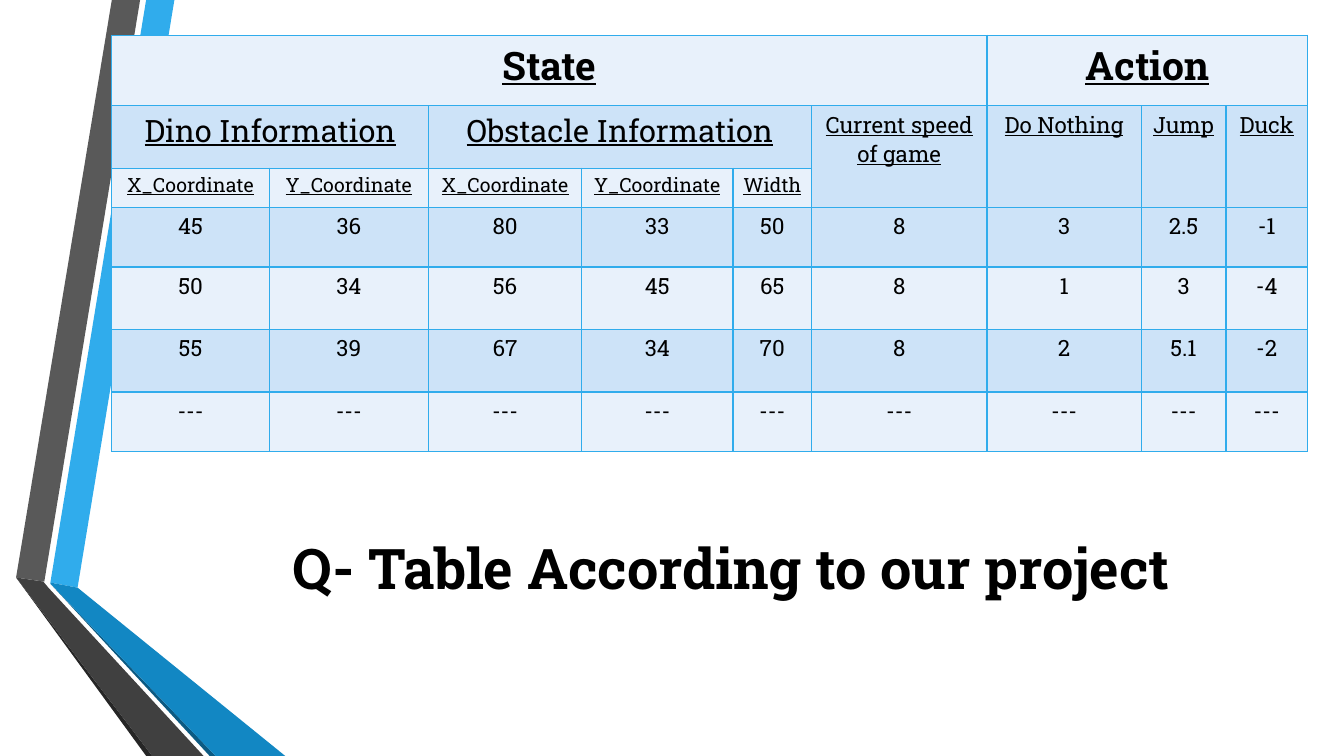
from lxml import etree
from pptx import Presentation
from pptx.dml.color import RGBColor
from pptx.enum.text import MSO_ANCHOR, PP_ALIGN
from pptx.oxml.ns import qn
from pptx.util import Inches, Pt

CENTER = PP_ALIGN.CENTER
MIDDLE = MSO_ANCHOR.MIDDLE
FONT = "Roboto Slab"
BLACK = RGBColor(0x00, 0x00, 0x00)
SKY = RGBColor(0x30, 0xAC, 0xEC)
BLUE = RGBColor(0x12, 0x87, 0xC3)
NAVY = RGBColor(0x0C, 0x5A, 0x82)
GRAY = RGBColor(0x59, 0x59, 0x59)
DARK_GRAY = RGBColor(0x40, 0x40, 0x40)
CHARCOAL = RGBColor(0x26, 0x26, 0x26)
PALE_BAND = RGBColor(0xE8, 0xF1, 0xFB)
BLUE_BAND = RGBColor(0xCD, 0xE3, 0xF8)


def write_centered(frame, text, size, bold=False, underline=False):
    para = frame.paragraphs[0]
    para.alignment = CENTER
    span = para.add_run()
    span.text = text
    span.font.name = FONT
    span.font.size = Pt(size)
    span.font.bold = bold
    span.font.underline = underline
    span.font.color.rgb = BLACK


def add_borders(cell):
    properties = cell._tc.get_or_add_tcPr()
    for side in ("a:lnL", "a:lnR", "a:lnT", "a:lnB"):
        line = etree.SubElement(properties, qn(side), w=str(Pt(1)))
        fill = etree.SubElement(line, qn("a:solidFill"))
        etree.SubElement(fill, qn("a:srgbClr"), val=str(SKY))


deck = Presentation()
deck.slide_width = Inches(13.33)
deck.slide_height = Inches(7.5)
page = deck.slides.add_slide(deck.slide_layouts[6])

# Folded ribbons on the left edge
ribbons = [
    (SKY, [(0.5, 5.78), (0.77, 5.83), (1.73, 0), (1.45, 0)]),
    (GRAY, [(1.39, 0), (1.11, 0), (0.16, 5.73), (0.44, 5.77)]),
    (CHARCOAL, [(0.16, 5.73), (1.45, 7.5), (1.51, 7.5)]),
    (NAVY, [(0.5, 5.79), (2.08, 7.5), (2.14, 7.5)]),
    (BLUE, [(0.5, 5.79), (2.14, 7.5), (2.83, 7.5), (0.77, 5.83), (0.5, 5.78)]),
    (DARK_GRAY, [(2.02, 7.5), (0.48, 5.83), (0.43, 5.77), (0.16, 5.73), (1.51, 7.5)]),
]
for color, corners in ribbons:
    points = [(Inches(x), Inches(y)) for x, y in corners]
    builder = page.shapes.build_freeform(*points[0])
    builder.add_line_segments(points[1:], close=True)
    ribbon = builder.convert_to_shape()
    ribbon.shadow.inherit = False
    ribbon.fill.solid()
    ribbon.fill.fore_color.rgb = color
    ribbon.line.fill.background()

# Title
title = page.shapes.add_textbox(Inches(1.93), Inches(4.87), Inches(10.65), Inches(1.51))
title.text_frame.word_wrap = True
title.text_frame.vertical_anchor = MIDDLE
write_centered(title.text_frame, "Q- Table According to our project", 40, bold=True)

# Table grid with banded rows
widths = [1.56, 1.58, 1.52, 1.5, 0.78, 1.74, 1.53, 0.84, 0.81]
heights = [0.7, 0.62, 0.39, 0.59, 0.62, 0.62, 0.59]
table = page.shapes.add_table(
    len(heights), len(widths), Inches(1.11), Inches(0.35), Inches(11.87), Inches(4.12)
).table
for column, width in zip(table.columns, widths):
    column.width = Inches(width)
for row_index, height in enumerate(heights):
    table.rows[row_index].height = Inches(height)
    for cell in table.rows[row_index].cells:
        cell.margin_left = cell.margin_right = Inches(0.07)
        cell.margin_top = cell.margin_bottom = Inches(0.04)
        add_borders(cell)
        cell.fill.solid()
        cell.fill.fore_color.rgb = BLUE_BAND if row_index % 2 else PALE_BAND

# Headings: row, column, rows spanned, columns spanned, text, size
headings = [
    (0, 0, 1, 6, "State", 28),
    (0, 6, 1, 3, "Action", 28),
    (1, 0, 1, 2, "Dino Information", 22),
    (1, 2, 1, 3, "Obstacle Information", 22),
    (1, 5, 2, 1, "Current speed of game", 16),
    (1, 6, 2, 1, "Do Nothing", 16),
    (1, 7, 2, 1, "Jump", 16),
    (1, 8, 2, 1, "Duck", 16),
    (2, 0, 1, 1, "X_Coordinate", 14),
    (2, 1, 1, 1, "Y_Coordinate", 14),
    (2, 2, 1, 1, "X_Coordinate", 14),
    (2, 3, 1, 1, "Y_Coordinate", 14),
    (2, 4, 1, 1, "Width", 14),
]
for row, column, row_span, column_span, text, size in headings:
    cell = table.cell(row, column)
    if row_span * column_span > 1:
        cell.merge(table.cell(row + row_span - 1, column + column_span - 1))
    write_centered(cell.text_frame, text, size, bold=row == 0, underline=True)

# Values
records = [
    ["45", "36", "80", "33", "50", "8", "3", "2.5", "-1"],
    ["50", "34", "56", "45", "65", "8", "1", "3", "-4"],
    ["55", "39", "67", "34", "70", "8", "2", "5.1", "-2"],
    ["---"] * len(widths),
]
for row, record in enumerate(records, start=3):
    for column, value in enumerate(record):
        write_centered(table.cell(row, column).text_frame, value, 16)

deck.save("out.pptx")
